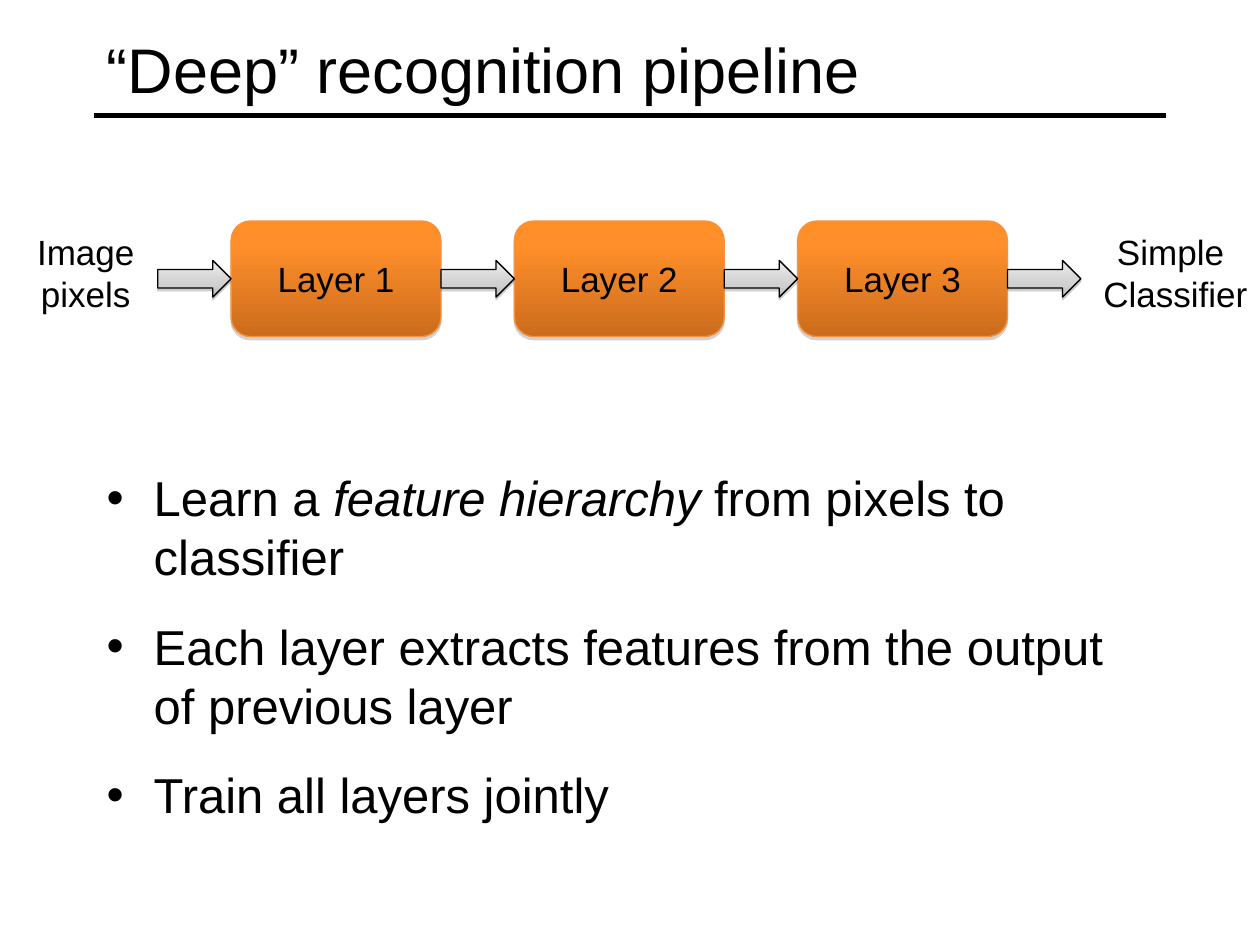
from lxml import etree
from pptx import Presentation
from pptx.dml.color import RGBColor
from pptx.enum.shapes import MSO_CONNECTOR, MSO_SHAPE
from pptx.enum.text import MSO_ANCHOR, MSO_AUTO_SIZE, PP_ALIGN
from pptx.oxml.ns import qn
from pptx.util import Cm, Pt

STRAIGHT = MSO_CONNECTOR.STRAIGHT
ROUNDED = MSO_SHAPE.ROUNDED_RECTANGLE
ARROW = MSO_SHAPE.RIGHT_ARROW
LEFT, CENTER = PP_ALIGN.LEFT, PP_ALIGN.CENTER
TOP, MIDDLE = MSO_ANCHOR.TOP, MSO_ANCHOR.MIDDLE
NO_FIT = MSO_AUTO_SIZE.NONE

COLORS = {
    "text": "000000",
    "layer_line": "F69240",
    "arrow_line": "000000",
    "shadow": "808080",
}
GRADIENTS = {
    "layer": [(0, "FF8F26"), (20, "FF8F2A"), (100, "CB6C1D")],
    "arrow": [(0, "EDEDED"), (65, "D0D0D0"), (100, "BCBCBC")],
}
SHADOWS = {"layer": (35, 1.8), "arrow": (38, 1.6)}


class SlideBuilder:
    font = "Arial"

    def __init__(self, slide):
        self.slide = slide

    def color(self, name):
        return RGBColor.from_string(COLORS[name])

    def add_run(self, paragraph, text, size, italic=False):
        run = paragraph.add_run()
        run.text = text
        run.font.name = self.font
        run.font.size = Pt(size)
        run.font.italic = italic
        run.font.color.rgb = self.color("text")

    def write_lines(self, frame, lines, size, align, anchor, wrap=True):
        frame.word_wrap = wrap
        frame.auto_size = NO_FIT
        frame.vertical_anchor = anchor
        paragraph = frame.paragraphs[0]
        paragraph.alignment = align
        for index, line in enumerate(lines):
            if index:
                paragraph.add_line_break()
            self.add_run(paragraph, line, size)

    def title(self, text, left, top, width, height):
        shape = self.slide.shapes.title
        shape.left, shape.top = Cm(left), Cm(top)
        shape.width, shape.height = Cm(width), Cm(height)
        self.write_lines(shape.text_frame, [text], 36, LEFT, MIDDLE)

    def rule(self, left, right, y, weight):
        line = self.slide.shapes.add_connector(
            STRAIGHT, Cm(left), Cm(y), Cm(right), Cm(y))
        line.line.color.rgb = self.color("text")
        line.line.width = Pt(weight)
        etree.SubElement(line._element.spPr, qn("a:effectLst"))

    def label(self, lines, left, top, width, height, wrap=True):
        box = self.slide.shapes.add_textbox(
            Cm(left), Cm(top), Cm(width), Cm(height))
        self.write_lines(box.text_frame, lines, 20, CENTER, TOP, wrap)

    def glossy_shape(self, kind, style, left, top, width, height):
        shape = self.slide.shapes.add_shape(
            kind, Cm(left), Cm(top), Cm(width), Cm(height))
        shape.line.color.rgb = self.color(style + "_line")
        shape.line.width = Pt(0.75)
        shape.fill.gradient()
        shape.fill.gradient_angle = 270
        properties = shape._element.spPr
        stops = properties.find(".//" + qn("a:gsLst"))
        for stop in list(stops):
            stops.remove(stop)
        for position, value in GRADIENTS[style]:
            stop = etree.SubElement(stops, qn("a:gs"), pos=str(position * 1000))
            etree.SubElement(stop, qn("a:srgbClr"), val=value)
        shape.shadow.inherit = False
        opacity, distance = SHADOWS[style]
        shadow = etree.SubElement(
            properties.find(qn("a:effectLst")), qn("a:outerShdw"),
            dist=str(Pt(distance)), dir="5400000", rotWithShape="0")
        tint = etree.SubElement(shadow, qn("a:srgbClr"), val=COLORS["shadow"])
        etree.SubElement(tint, qn("a:alpha"), val=str(opacity * 1000))
        return shape

    def layer(self, text, left, top, width, height):
        shape = self.glossy_shape(ROUNDED, "layer", left, top, width, height)
        self.write_lines(shape.text_frame, [text], 20, CENTER, MIDDLE)

    def arrow(self, left, top, width, height):
        self.glossy_shape(ARROW, "arrow", left, top, width, height)

    def bullets(self, items, left, top, width, height):
        box = self.slide.shapes.add_textbox(
            Cm(left), Cm(top), Cm(width), Cm(height))
        frame = box.text_frame
        frame.word_wrap = True
        for index, runs in enumerate(items):
            paragraph = frame.add_paragraph() if index else frame.paragraphs[0]
            paragraph.space_before = Pt(5.6)
            paragraph.space_after = Pt(12)
            properties = paragraph._p.get_or_add_pPr()
            properties.set("marL", str(Cm(0.95)))
            properties.set("indent", str(-Cm(0.95)))
            etree.SubElement(properties, qn("a:buFont"), typeface=self.font)
            etree.SubElement(properties, qn("a:buChar"), char="•")
            for text, italic in runs:
                self.add_run(paragraph, text, 28, italic)


presentation = Presentation()
presentation.slide_width = Cm(25.4)
presentation.slide_height = Cm(19.05)
slide = presentation.slides.add_slide(presentation.slide_layouts[5])
builder = SlideBuilder(slide)

MARGIN, CONTENT_WIDTH = 1.9, 21.6
builder.rule(MARGIN, MARGIN + CONTENT_WIDTH, 2.33, 3)
builder.title("“Deep” recognition pipeline", MARGIN, 0.21, CONTENT_WIDTH, 2.33)
builder.bullets([
    [("Learn a ", False), ("feature hierarchy", True),
     (" from pixels to classifier", False)],
    [("Each layer extracts features from the output of previous layer", False)],
    [("Train all layers jointly", False)],
], MARGIN, 9.31, CONTENT_WIDTH, 8.05)

LAYER_COUNT = 3
LAYER_WIDTH, LAYER_HEIGHT = 4.23, 2.33
ARROW_WIDTH, ARROW_HEIGHT = 1.48, 0.74
PIPELINE_LEFT, PIPELINE_MIDDLE = 3.18, 5.62
PITCH = LAYER_WIDTH + ARROW_WIDTH

for index in range(LAYER_COUNT):
    builder.layer(f"Layer {index + 1}",
                  PIPELINE_LEFT + index * PITCH + ARROW_WIDTH,
                  PIPELINE_MIDDLE - LAYER_HEIGHT / 2, LAYER_WIDTH, LAYER_HEIGHT)
for index in range(LAYER_COUNT + 1):
    builder.arrow(PIPELINE_LEFT + index * PITCH,
                  PIPELINE_MIDDLE - ARROW_HEIGHT / 2, ARROW_WIDTH, ARROW_HEIGHT)

builder.label(["Image pixels"], -0.15, 4.52, 3.76, 1.96)
builder.label(["Simple ", "Classifier"], 21.97, 4.52, 3.45, 1.96, wrap=False)

presentation.save("out.pptx")
